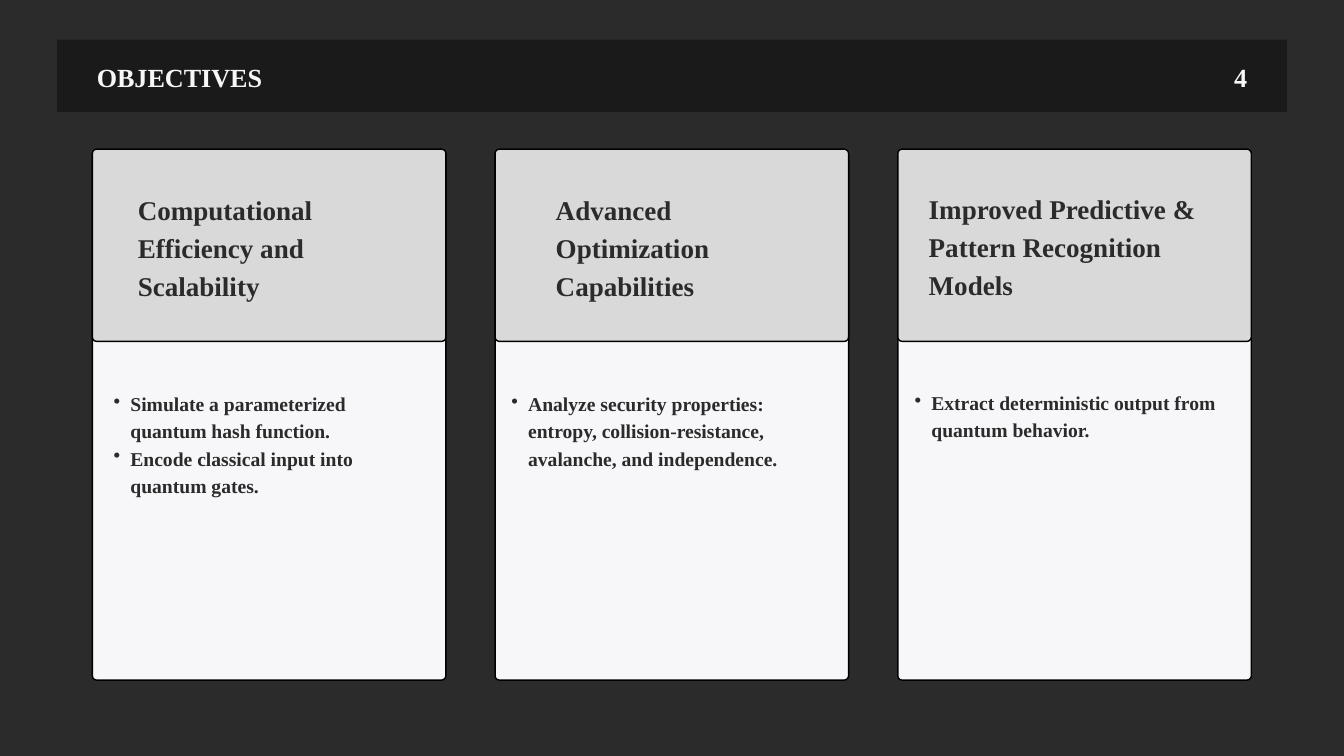
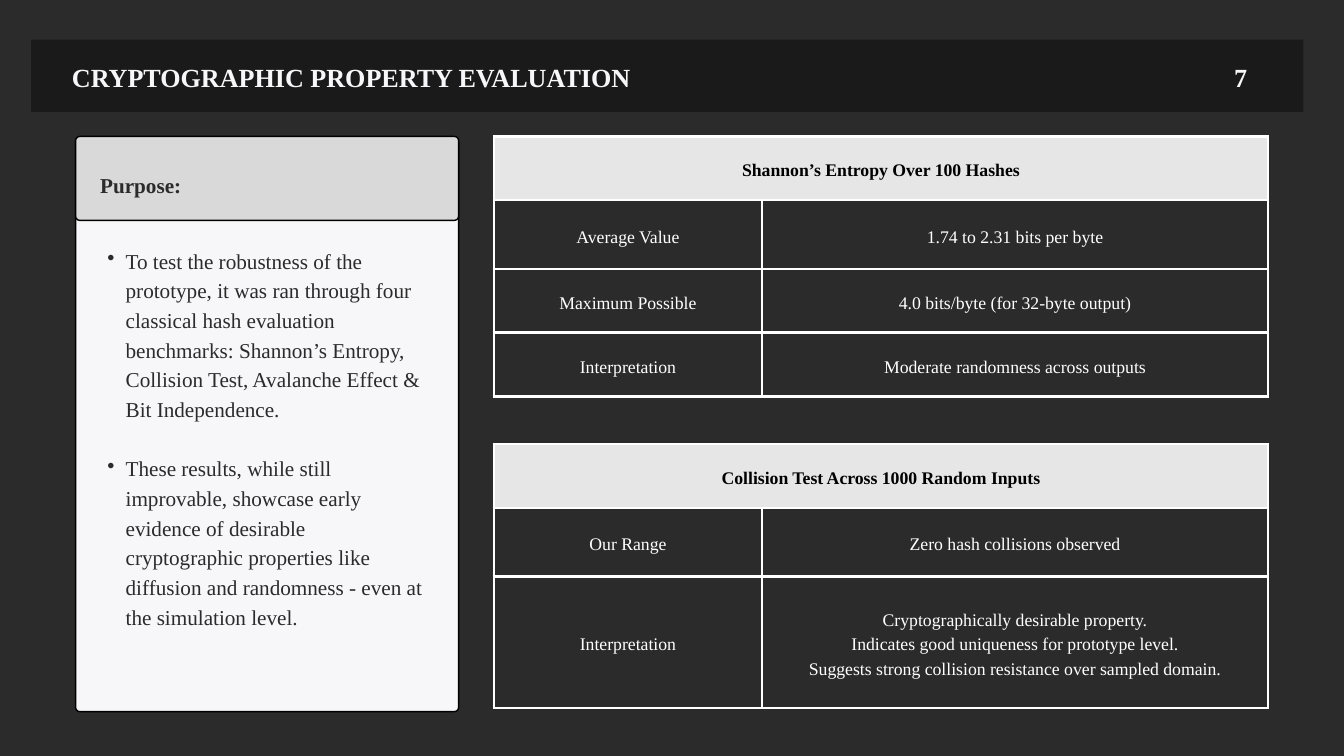
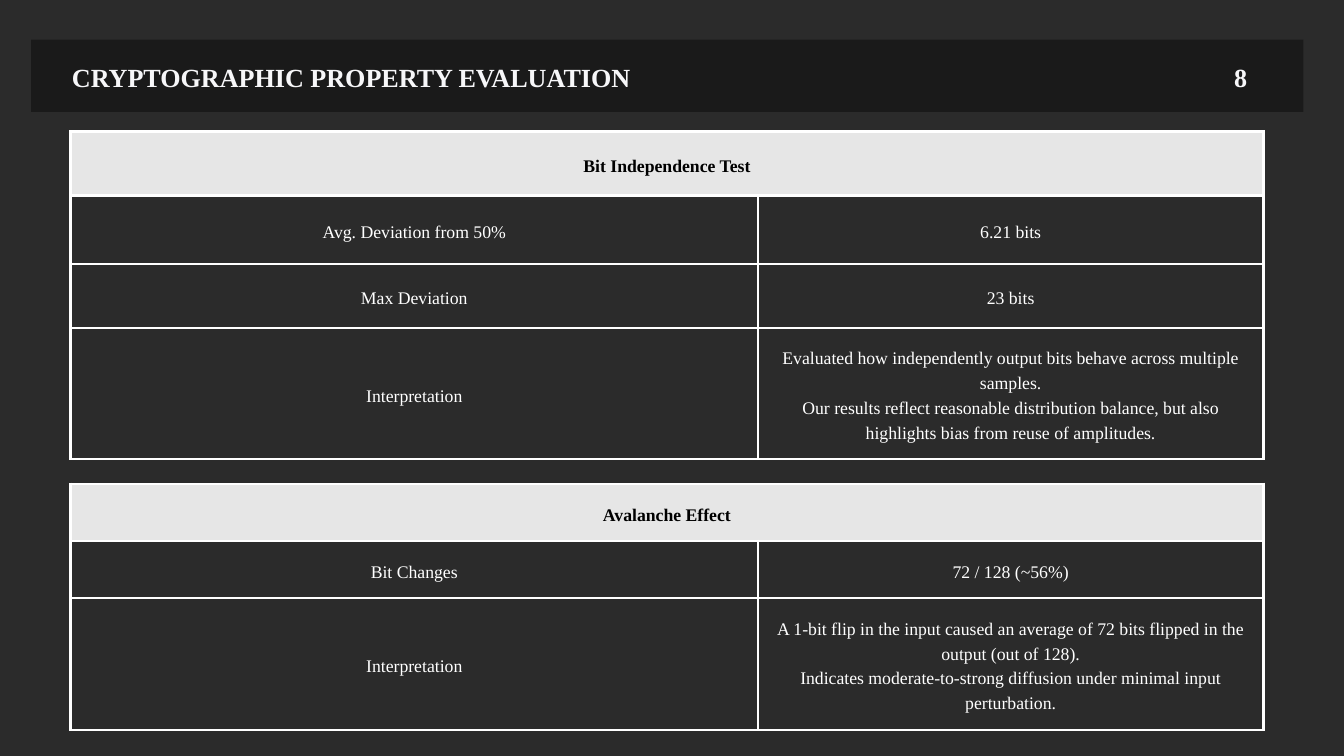
"""Builds three dark slides on a quantum hash prototype: objectives and test results."""

from dataclasses import dataclass

from lxml.etree import SubElement
from pptx import Presentation
from pptx.dml.color import RGBColor
from pptx.enum.shapes import MSO_SHAPE
from pptx.enum.text import MSO_ANCHOR, MSO_AUTO_SIZE, PP_ALIGN
from pptx.oxml.ns import qn
from pptx.util import Inches, Pt

CELL = Inches(0.1)
COLUMNS, ROWS = 200, 112.5
FONT = "Times New Roman"
LEADING = 1.4
CORNER = 0.63
BACKDROP, BAND, INK, PAPER = "2B2B2B", "101010", "2B2B2B", "F7F7F9"
CARD_HEAD, TABLE_HEAD, BLACK, WHITE = "D9D9D9", "E6E6E6", "000000", "FFFFFF"


@dataclass(frozen=True)
class Area:
    """A rectangle in grid columns and rows."""

    left: float
    top: float
    width: float
    height: float

    def emu(self) -> tuple[int, ...]:
        """Return left, top, width and height in EMU."""
        return tuple(grid(n) for n in (self.left, self.top, self.width, self.height))


@dataclass(frozen=True)
class TextStyle:
    """Character and paragraph settings for one role of text."""

    size: float
    color: str = INK
    bold: bool = True
    align: PP_ALIGN = PP_ALIGN.LEFT
    bullet_indent: float = 0
    gap_lines: float = 0


@dataclass(frozen=True)
class Card:
    """A panel with a grey head over a pale body."""

    panel: Area
    head_top: float
    head_height: float
    heading: str
    heading_area: Area
    heading_style: TextStyle
    points: list[str]
    points_area: Area
    points_style: TextStyle


@dataclass(frozen=True)
class Results:
    """A test's result table with a merged heading row."""

    left: float
    top: float
    columns: tuple[float, float]
    rows: tuple[float, ...]
    heading: str
    findings: list[tuple[str, str]]


HEADLINE = TextStyle(28, PAPER)
PAGE_NUMBER = TextStyle(28, PAPER, align=PP_ALIGN.RIGHT)
OBJECTIVE = TextStyle(29)
OBJECTIVE_POINT = TextStyle(21, bullet_indent=2.5)
PURPOSE = TextStyle(22.7)
PURPOSE_POINT = TextStyle(22.7, bold=False, bullet_indent=2.7, gap_lines=1)
TABLE_HEADING = TextStyle(19, BLACK, align=PP_ALIGN.CENTER)
FINDING = TextStyle(19, WHITE, bold=False, align=PP_ALIGN.CENTER)

WIDE_BAND = Area(4.65, 5.9, 189.3, 10.75)
EVALUATION = "CRYPTOGRAPHIC PROPERTY EVALUATION"


def grid(units: float) -> int:
    """Convert grid units to EMU."""
    return int(units * CELL)


def rgb(color: str) -> RGBColor:
    """Convert a hex string to a colour."""
    return RGBColor.from_string(color)


def write(frame, lines: list[str], style: TextStyle) -> None:
    """Fill a text frame with one styled paragraph per line."""
    for index, line in enumerate(lines):
        paragraph = frame.paragraphs[0] if index == 0 else frame.add_paragraph()
        paragraph.text = line
        if style.bullet_indent:
            paragraph.level = 1
            properties = paragraph._p.get_or_add_pPr()
            properties.set("marL", str(grid(2 * style.bullet_indent)))
            properties.set("indent", str(-grid(style.bullet_indent)))
            SubElement(properties, qn("a:buChar"), char="•")
        paragraph.alignment = style.align
        paragraph.line_spacing = Pt(LEADING * style.size)
        if style.gap_lines and index:
            paragraph.space_before = Pt(LEADING * style.size * style.gap_lines)
        font = paragraph.font
        font.name, font.size, font.bold = FONT, Pt(style.size), style.bold
        font.color.rgb = rgb(style.color)


def fit_frame(frame) -> None:
    """Give a text frame no insets, wrapping and top anchoring."""
    frame.margin_left = frame.margin_top = frame.margin_right = frame.margin_bottom = 0
    frame.word_wrap = True
    frame.auto_size = MSO_AUTO_SIZE.SHAPE_TO_FIT_TEXT
    frame.vertical_anchor = MSO_ANCHOR.TOP


def add_text(slide, area: Area, lines: list[str], style: TextStyle) -> None:
    """Add a text box."""
    frame = slide.shapes.add_textbox(*area.emu()).text_frame
    fit_frame(frame)
    write(frame, lines, style)


def add_panel(slide, area: Area, color: str) -> None:
    """Add an outlined panel with slightly rounded corners."""
    panel = slide.shapes.add_shape(MSO_SHAPE.ROUNDED_RECTANGLE, *area.emu())
    panel.adjustments[0] = CORNER / min(area.width, area.height)
    panel.shadow.inherit = False
    panel.fill.solid()
    panel.fill.fore_color.rgb = rgb(color)
    panel.line.color.rgb = rgb(BLACK)
    panel.line.width = Pt(1.5)


def add_card(slide, card: Card) -> None:
    """Draw a card with its heading and bullet points."""
    add_panel(slide, card.panel, PAPER)
    head = Area(card.panel.left, card.head_top, card.panel.width, card.head_height)
    add_panel(slide, head, CARD_HEAD)
    add_text(slide, card.heading_area, [card.heading], card.heading_style)
    add_text(slide, card.points_area, card.points, card.points_style)


def fill_cell(cell, text: str, style: TextStyle, color: str | None = None) -> None:
    """Write a bordered table cell, filled only if a colour is given."""
    cell.margin_left = cell.margin_right = cell.margin_top = cell.margin_bottom = grid(2.1)
    cell.vertical_anchor = MSO_ANCHOR.MIDDLE
    for side in ("lnL", "lnR", "lnT", "lnB"):
        border = SubElement(cell._tc.get_or_add_tcPr(), qn(f"a:{side}"), w=str(Pt(3)))
        SubElement(SubElement(border, qn("a:solidFill")), qn("a:srgbClr"), val=WHITE)
    if color:
        cell.fill.solid()
        cell.fill.fore_color.rgb = rgb(color)
    else:
        cell.fill.background()
    if text:
        write(cell.text_frame, text.split("\n"), style)


def add_results(slide, results: Results) -> None:
    """Draw a result table."""
    area = Area(results.left, results.top, sum(results.columns), sum(results.rows))
    table = slide.shapes.add_table(len(results.rows), 2, *area.emu()).table
    table.first_row = table.horz_banding = False
    for column, width in zip(table.columns, results.columns):
        column.width = grid(width)
    for row, height in zip(table.rows, results.rows):
        row.height = grid(height)
    for column, text in enumerate((results.heading, "")):
        fill_cell(table.cell(0, column), text, TABLE_HEADING, TABLE_HEAD)
    table.cell(0, 0).merge(table.cell(0, 1))
    for row, finding in enumerate(results.findings, start=1):
        for column, text in enumerate(finding):
            fill_cell(table.cell(row, column), text, FINDING)


def add_slide(deck, headline: str, number: str, band_area: Area, headline_left: float):
    """Add a slide with its band, title and page number."""
    slide = deck.slides.add_slide(deck.slide_layouts[5])
    title = slide.shapes.title
    title.left, title.top, title.width, title.height = Area(headline_left, 8.3, 122.4, 5.3).emu()
    fit_frame(title.text_frame)
    write(title.text_frame, [headline], HEADLINE)
    band = slide.shapes.add_shape(MSO_SHAPE.RECTANGLE, *band_area.emu())
    band.shadow.inherit = False
    band.fill.solid()
    band.fill.fore_color.rgb = rgb(BAND)
    SubElement(band._element.spPr.find(f".//{qn('a:srgbClr')}"), qn("a:alpha"), val="60000")
    band.line.fill.background()
    title._element.addprevious(band._element)
    add_text(slide, Area(174.5, 8.3, 11.1, 5.3), [number], PAGE_NUMBER)
    return slide


def add_objectives(deck) -> None:
    """Build the slide with three objective cards."""
    slide = add_slide(deck, "OBJECTIVES", "4", Area(8.5, 5.9, 183, 10.75), 14.4)
    objectives = [
        ("Computational Efficiency and Scalability", Area(20.5, 28, 39.2, 16.7),
         ["Simulate a parameterized quantum hash function.",
          "Encode classical input into quantum gates."], Area(14.4, 57.7, 47.4, 16.1)),
        ("Advanced Optimization Capabilities", Area(82.7, 28, 39.2, 16.7),
         ["Analyze security properties: entropy, collision-resistance, avalanche, "
          "and independence."], Area(73.6, 57.7, 50.3, 16.1)),
        ("Improved Predictive & Pattern Recognition Models", Area(138.2, 27.9, 43.5, 16.7),
         ["Extract deterministic output from quantum behavior."],
         Area(133.6, 57.6, 51.1, 8)),
    ]
    for index, (heading, heading_area, points, points_area) in enumerate(objectives):
        panel = Area(13.75 + 59.93 * index, 22.3, 52.6, 78.9)
        add_card(slide, Card(panel, 22.2, 28.6, heading, heading_area, OBJECTIVE,
                             points, points_area, OBJECTIVE_POINT))


def add_entropy_and_collisions(deck) -> None:
    """Build the slide with the purpose card and two result tables."""
    slide = add_slide(deck, EVALUATION, "7", WIDE_BAND, 10.7)
    add_card(slide, Card(
        Area(11.25, 20.5, 57, 85.4), 20.3, 12.5,
        "Purpose:", Area(14.9, 25, 23.4, 4.1), PURPOSE,
        ["To test the robustness of the prototype, it was ran through four classical hash "
         "evaluation benchmarks: Shannon’s Entropy, Collision Test, Avalanche Effect & "
         "Bit Independence.",
         "These results, while still improvable, showcase early evidence of desirable "
         "cryptographic properties like diffusion and randomness - even at the simulation "
         "level."],
        Area(13.3, 36.3, 50, 65.7), PURPOSE_POINT))
    columns = (39.9, 75.3)
    add_results(slide, Results(
        73.5, 20.3, columns, (9.5, 10.2, 9.5, 9.5), "Shannon’s Entropy Over 100 Hashes",
        [("Average Value", "1.74 to 2.31 bits per byte"),
         ("Maximum Possible", "4.0 bits/byte (for 32-byte output)"),
         ("Interpretation", "Moderate randomness across outputs")]))
    add_results(slide, Results(
        73.5, 66.1, columns, (9.5, 10.2, 19.6), "Collision Test Across 1000 Random Inputs",
        [("Our Range", "Zero hash collisions observed"),
         ("Interpretation",
          "Cryptographically desirable property.\n"
          "Indicates good uniqueness for prototype level.\n"
          "Suggests strong collision resistance over sampled domain.")]))


def add_independence_and_avalanche(deck) -> None:
    """Build the slide with two full-width result tables."""
    slide = add_slide(deck, EVALUATION, "8", WIDE_BAND, 10.7)
    columns = (102.3, 75.2)
    add_results(slide, Results(
        10.5, 19.6, columns, (9.5, 10.2, 9.5, 19.5), "Bit Independence Test",
        [("Avg. Deviation from 50%", "6.21 bits"),
         ("Max Deviation", "23 bits"),
         ("Interpretation",
          "Evaluated how independently output bits behave across multiple samples.\n"
          "Our results reflect reasonable distribution balance, but also highlights bias "
          "from reuse of amplitudes.")]))
    add_results(slide, Results(
        10.5, 72, columns, (8.5, 8.5, 19.6), "Avalanche Effect",
        [("Bit Changes", "72 / 128 (~56%)"),
         ("Interpretation",
          "A 1-bit flip in the input caused an average of 72 bits flipped in the output "
          "(out of 128).\n"
          "Indicates moderate-to-strong diffusion under minimal input perturbation.")]))


def main() -> None:
    """Build and save the deck."""
    deck = Presentation()
    deck.slide_width, deck.slide_height = grid(COLUMNS), grid(ROWS)
    backdrop = deck.slide_master.background.fill
    backdrop.solid()
    backdrop.fore_color.rgb = rgb(BACKDROP)
    add_objectives(deck)
    add_entropy_and_collisions(deck)
    add_independence_and_avalanche(deck)
    deck.save("out.pptx")


if __name__ == "__main__":
    main()
